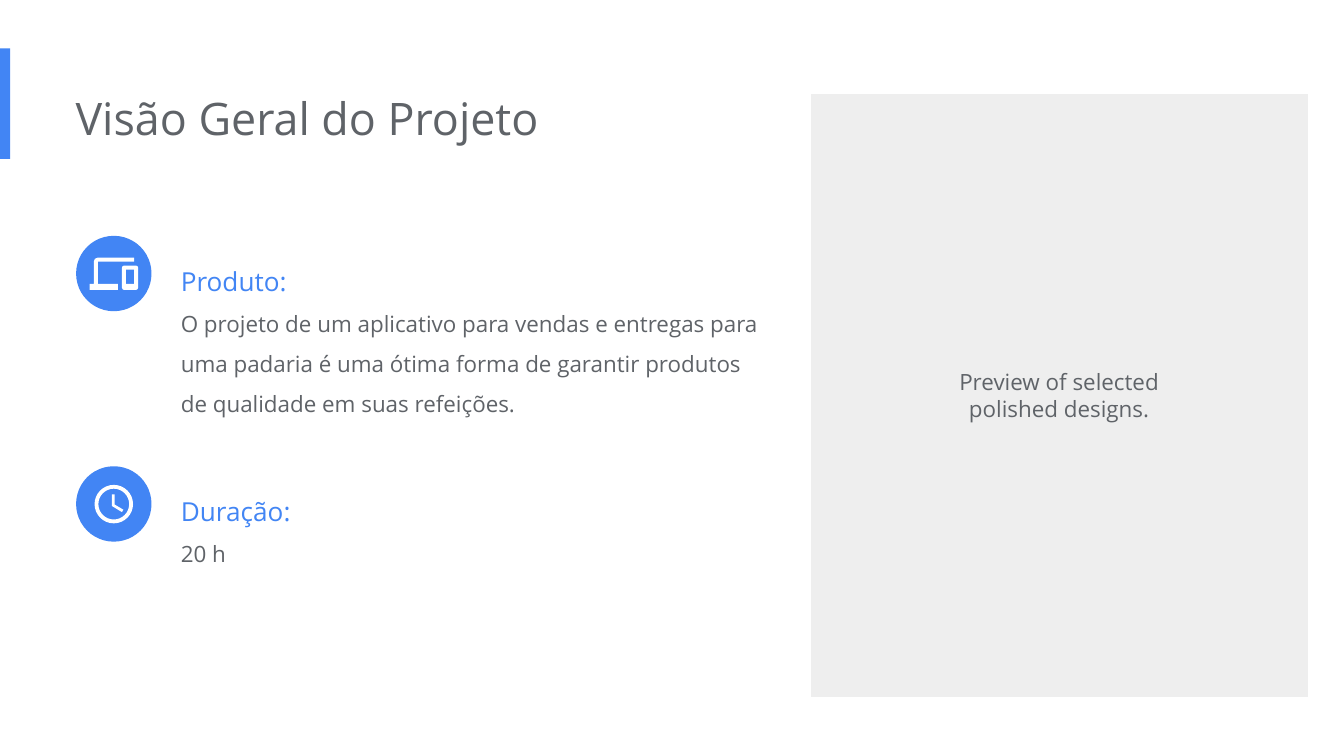
import dataclasses
import math

import pptx
import pptx.dml.color
import pptx.enum.shapes
import pptx.enum.text
import pptx.oxml.ns
import pptx.util

Pt = pptx.util.Pt
Kind = pptx.enum.shapes.MSO_SHAPE
Align = pptx.enum.text.PP_ALIGN
Anchor = pptx.enum.text.MSO_ANCHOR
Fit = pptx.enum.text.MSO_AUTO_SIZE


@dataclasses.dataclass(frozen=True)
class Theme:
    blue: str = "4285F4"
    gray: str = "5F6368"
    pale: str = "EEEEEE"
    white: str = "FFFFFF"
    face: str = "Open Sans"
    title: float = 24
    head: float = 14
    body: float = 12


THEME = Theme()
LEFT = 40.75
DISC = 40.4
TEXT = 96.9
TOPS = (126.35, 249.8)


def apply(target, values):
    for name, value in values.items():
        setattr(target, name, value)


def color(code):
    return pptx.dml.color.RGBColor.from_string(code)


def paint(shape, code):
    shape.shadow.inherit = False
    shape.fill.solid()
    shape.fill.fore_color.rgb = color(code)
    shape.line.fill.background()


def block(slide, kind, box, code):
    paint(slide.shapes.add_shape(kind, *map(Pt, box)), code)


def write(shape, box, lines, inset=0, align=Align.LEFT, space=1.0):
    apply(shape, dict(zip(("left", "top", "width", "height"), map(Pt, box))))
    frame = shape.text_frame
    apply(frame, {
        "word_wrap": True,
        "auto_size": Fit.SHAPE_TO_FIT_TEXT,
        "vertical_anchor": Anchor.TOP,
        "margin_left": Pt(inset),
        "margin_top": Pt(7.2),
        "margin_right": Pt(7.2),
        "margin_bottom": Pt(7.2),
    })
    for i, (text, size, code) in enumerate(lines):
        para = frame.add_paragraph() if i else frame.paragraphs[0]
        apply(para, {"text": text, "alignment": align, "line_spacing": space,
                     "space_before": Pt(0)})
        apply(para.font, {"name": THEME.face, "size": Pt(size)})
        para.font.color.rgb = color(code)


def label(slide, box, lines, **style):
    write(slide.shapes.add_textbox(0, 0, 0, 0), box, lines, **style)


def bend(x, y, radius, start, turn=1):
    pull = 0.55
    (a, b), (c, d) = ((math.cos(math.radians(angle)),
                       math.sin(math.radians(angle)))
                      for angle in (start, start + 90 * turn))
    spots = [(a + pull * c, b + pull * d), (c + pull * a, d + pull * b), (c, d)]
    return [(x + radius * u, y + radius * v) for u, v in spots]


def lines(*points):
    return [[point] for point in points]


def icon(slide, left, top, unit, paths):
    def place(point):
        return Pt(left + point[0] * unit), Pt(top + point[1] * unit)

    pen = slide.shapes.build_freeform(*place(paths[0][0][0]), scale=1.0)
    for i, (first, *steps) in enumerate(paths):
        if i:
            pen.move_to(*place(first[0]))
        pen.add_line_segments([place(p) for step in steps for p in step])
    shape = pen.convert_to_shape()
    paint(shape, THEME.white)
    curve(shape, [len(step) for path in paths for step in path[1:]])


def curve(shape, sizes):
    qn = pptx.oxml.ns.qn
    nodes = iter(list(shape.element.iter(qn("a:lnTo"))))
    for size in sizes:
        node = next(nodes)
        if size == 3:
            node.tag = qn("a:cubicBezTo")
            for _ in range(2):
                extra = next(nodes)
                node.append(extra[0])
                extra.getparent().remove(extra)


def screens():
    laptop = [*lines((4, 6), (22, 6), (22, 4), (4, 4)), bend(4, 6, 2, 270, -1),
              *lines((2, 17), (0, 17), (0, 20), (14, 20), (14, 17), (4, 17))]
    phone = [*lines((23, 8), (17, 8)), bend(17, 9, 1, 270, -1),
             *lines((16, 19)), bend(17, 19, 1, 180, -1),
             *lines((23, 20)), bend(23, 19, 1, 90, -1),
             *lines((24, 9)), bend(23, 9, 1, 0, -1)]
    glass = lines((22, 17), (18, 17), (18, 10), (22, 10))
    return [laptop, phone, glass]


def clock():
    rings = [[*lines((12 + radius, 12)),
              *(bend(12, 12, radius, 90 * i) for i in range(4))]
             for radius in (10, 8)]
    hands = lines((12.5, 7), (11, 7), (11, 13), (16.25, 16.15),
                  (17, 14.92), (12.5, 12.25))
    return [*rings, hands]


def entry(slide, top, width, height, head, body):
    block(slide, Kind.OVAL, (LEFT, top, DISC, DISC), THEME.blue)
    label(slide, (TEXT, top, width, height),
          [(head, THEME.head, THEME.blue), (body, THEME.body, THEME.gray)],
          space=1.5)


def main():
    deck = pptx.Presentation()
    apply(deck, {"slide_width": Pt(720), "slide_height": Pt(405)})
    slide = deck.slides.add_slide(deck.slide_layouts[5])
    block(slide, Kind.RECTANGLE, (0, 26, 5.5, 59.2), THEME.blue)
    block(slide, Kind.RECTANGLE, (434.5, 50.4, 266.2, 323), THEME.pale)
    write(slide.shapes.title, (40.5, 41.4, 484.5, 44),
          [("Visão Geral do Projeto", THEME.title, THEME.gray)])
    entry(slide, TOPS[0], 321.8, 105, "Produto:",
          "O projeto de um aplicativo para vendas e entregas para uma padaria "
          "é uma ótima forma de garantir produtos de qualidade em suas "
          "refeições.")
    entry(slide, TOPS[1], 271.4, 62, "Duração:", "20 h")
    icon(slide, 48.6, 257.7, 1.03, clock())
    icon(slide, 48.1, 133.7, 1.08, screens())
    label(slide, (496.1, 190.1, 142.6, 44),
          [("Preview of selected polished designs.", THEME.body, THEME.gray)],
          inset=7.2, align=Align.CENTER)
    deck.save("out.pptx")


if __name__ == "__main__":
    main()
